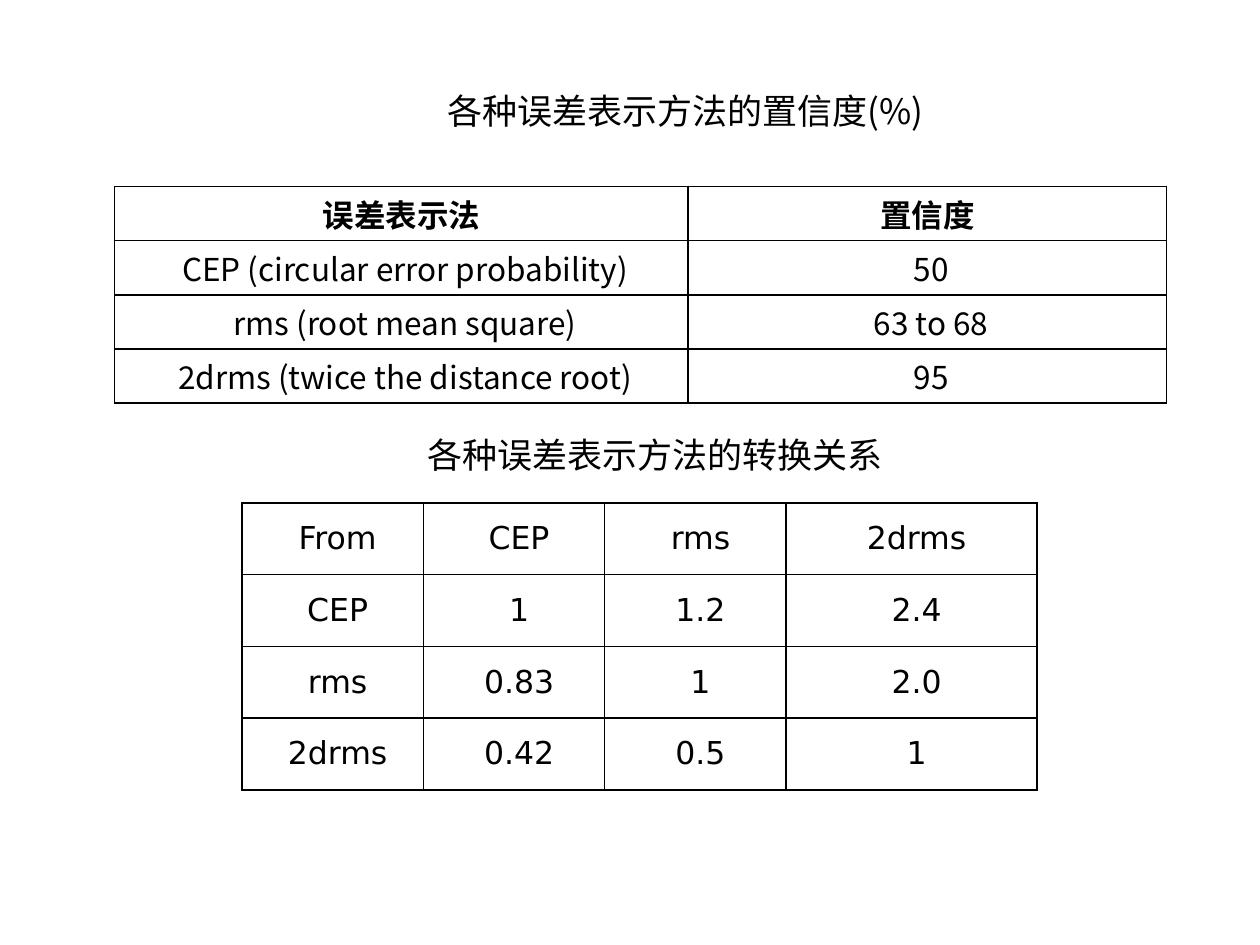
from lxml.etree import SubElement as Sub
from pptx import Presentation as Deck
from pptx.dml.color import RGBColor as Rgb
from pptx.enum.text import MSO_ANCHOR as Anchor, MSO_AUTO_SIZE as Fit, PP_ALIGN as Align
from pptx.oxml.ns import qn
from pptx.util import Inches, Pt

THEME = {
    "ink": "000000", "paper": "FFFFFF",
    "sans": "Noto Sans CJK SC", "mono": "DejaVu Sans",
    "head": 20, "body": 18, "line": 1, "pad": 0.03, "indent": 0.35,
}
HEADS = [
    ("各种误差表示方法的置信度(%)", 2.14, 0.66),
    ("各种误差表示方法的转换关系", 1.9, 3.39),
]
HEAD_SIZE = (6.25, 0.44)
TABLES = [
    {
        "at": (0.91, 1.48), "cols": [4.55, 3.8], "row": 0.43,
        "font": "sans", "bold": True, "shift": [0, 0.06, 0.06, 0.06],
        "rows": [
            ["误差表示法", "置信度"],
            ["CEP (circular error probability)", "50"],
            ["rms (root mean square)", "63 to 68"],
            ["2drms (twice the distance root)", "95"],
        ],
    },
    {
        "at": (1.92, 3.99), "cols": [1.44, 1.44, 1.44, 1.99], "row": 0.57,
        "font": "mono", "bold": False, "shift": [0.08] * 4,
        "rows": [
            ["From", "CEP", "rms", "2drms"],
            ["CEP", "1", "1.2", "2.4"],
            ["rms", "0.83", "1", "2.0"],
            ["2drms", "0.42", "0.5", "1"],
        ],
    },
]


def write(frame, text, size, face, bold=False):
    par = frame.paragraphs[0]
    par.alignment = Align.CENTER
    run = par.add_run()
    run.text = text
    font = run.font
    font.size, font.bold = Pt(THEME[size]), bold
    font.color.rgb = Rgb.from_string(THEME["ink"])
    font.name = THEME[face]
    Sub(run._r.get_or_add_rPr(), qn("a:ea"), typeface=THEME[face])
    return par


def add_head(box, text, left, top):
    box.left, box.top = Inches(left), Inches(top)
    box.width, box.height = map(Inches, HEAD_SIZE)
    frame = box.text_frame
    frame.word_wrap, frame.auto_size = True, Fit.SHAPE_TO_FIT_TEXT
    frame.vertical_anchor = Anchor.MIDDLE
    par = write(frame, text, "head", "sans")
    props = par._p.get_or_add_pPr()
    props.set("marL", "0")
    props.set("indent", str(Inches(THEME["indent"])))


def add_edges(cell):
    props = cell._tc.get_or_add_tcPr()
    for side in ("lnL", "lnR", "lnT", "lnB"):
        edge = Sub(props, qn("a:" + side), w=str(Pt(THEME["line"])))
        fill = Sub(edge, qn("a:solidFill"))
        Sub(fill, qn("a:srgbClr"), val=THEME["ink"])


def add_grid(slide, data):
    rows, cols = data["rows"], data["cols"]
    size = sum(cols), data["row"] * len(rows)
    grid = slide.shapes.add_table(
        len(rows), len(cols), *map(Inches, data["at"] + size)).table
    grid.first_row = grid.horz_banding = False
    for col, width in zip(grid.columns, cols):
        col.width = Inches(width)
    for r, (line, shift) in enumerate(zip(rows, data["shift"])):
        grid.rows[r].height = Inches(data["row"])
        for c, text in enumerate(line):
            cell = grid.cell(r, c)
            cell.margin_left = Inches(THEME["pad"] + shift)
            cell.margin_right = cell.margin_top = cell.margin_bottom = Inches(THEME["pad"])
            cell.vertical_anchor = Anchor.MIDDLE
            add_edges(cell)
            cell.fill.solid()
            cell.fill.fore_color.rgb = Rgb.from_string(THEME["paper"])
            write(cell.text_frame, text, "body", data["font"], data["bold"] and r == 0)


def main():
    deck = Deck()
    deck.slide_width, deck.slide_height = Inches(10), Inches(7.5)
    slide = deck.slides.add_slide(deck.slide_layouts[5])
    for data in TABLES:
        add_grid(slide, data)
    title, sub = HEADS
    add_head(slide.shapes.title, *title)
    add_head(slide.shapes.add_textbox(0, 0, 0, 0), *sub)
    deck.save("out.pptx")


if __name__ == "__main__":
    main()
